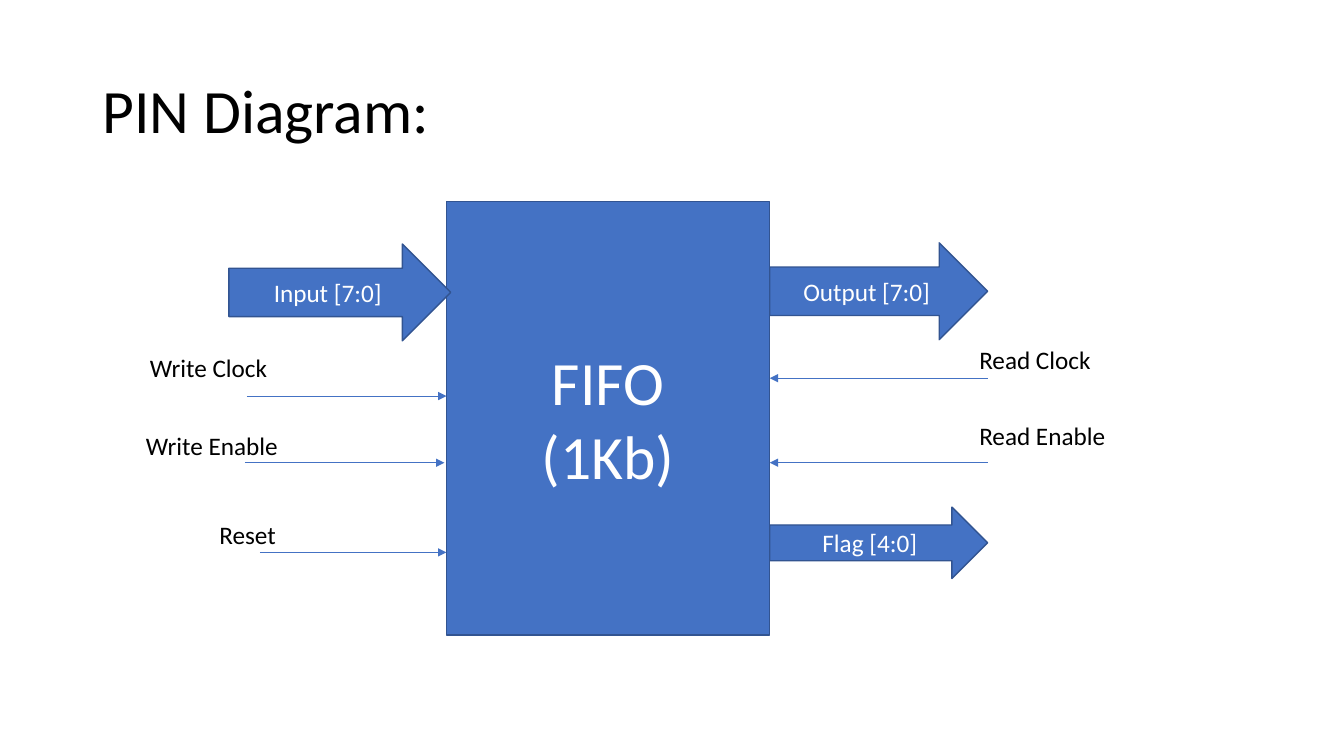
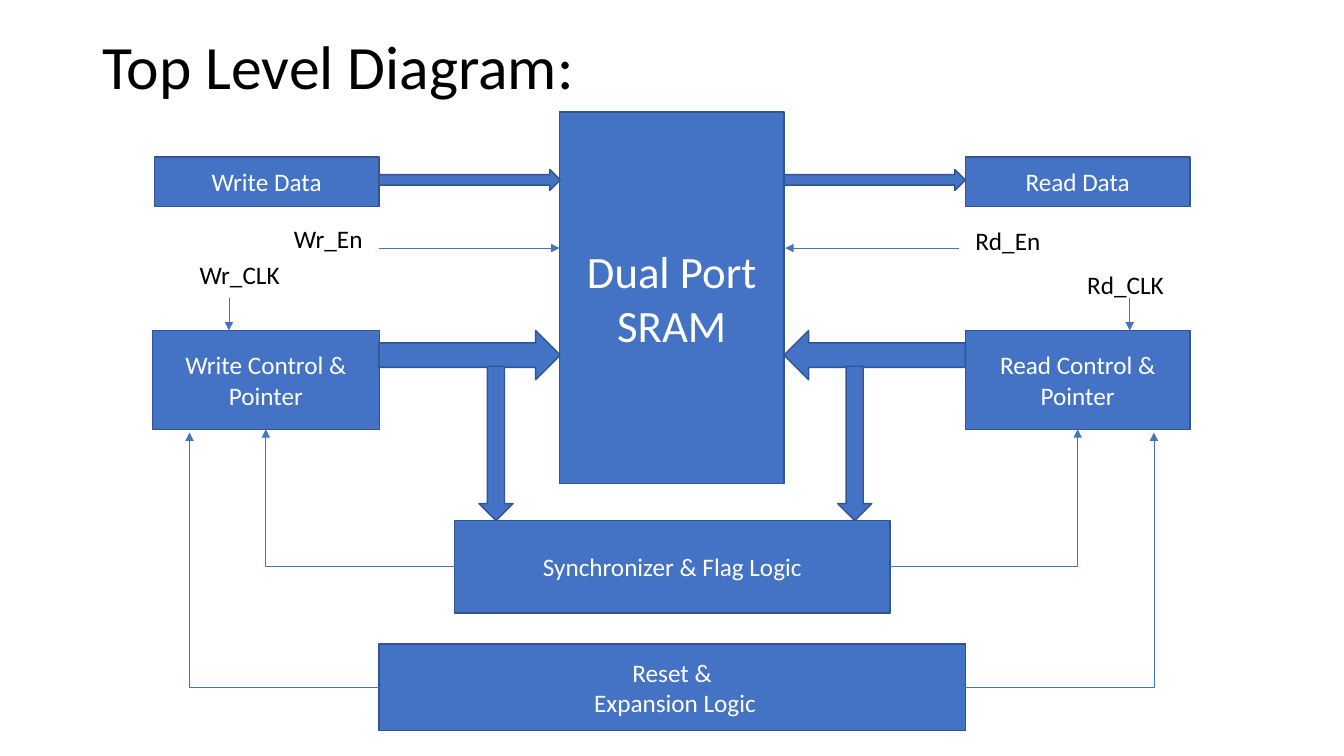
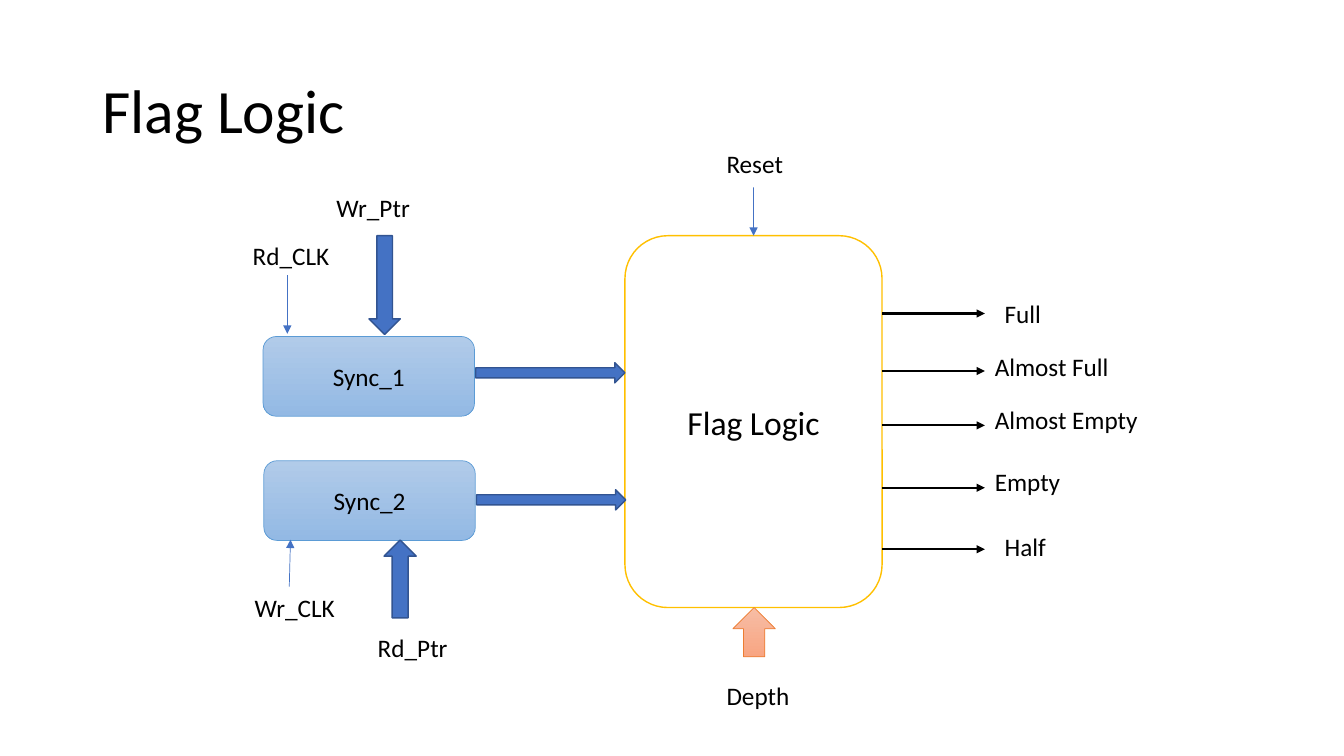
from lxml import etree
from pptx import Presentation, util as u
from pptx.dml import color as dml
from pptx.enum import shapes, text
from pptx.oxml import ns

COLORS = {
    "blue": "4472C4", "edge": "325491", "black": "000000", "white": "FFFFFF",
    "gold": "FFC000", "sky": "5B9BD5", "sky_top": "B1CBE9", "sky_end": "93B9E4",
    "orange": "ED7D31", "peach_top": "F7BDA5", "peach_end": "F8A582",
}
KIND = shapes.MSO_SHAPE
LABEL_HEIGHT = 1.02
TOP, LEFT, BOTTOM, RIGHT = range(4)


class Deck:
    """Holds the shared style and the slide being drawn; lengths are in cm."""

    font = "Calibri"

    def __init__(self):
        self.presentation = Presentation()
        self.presentation.slide_width = u.Cm(33.87)
        self.presentation.slide_height = u.Cm(19.05)
        self.slide = None

    @staticmethod
    def rgb(name):
        return dml.RGBColor.from_string(COLORS[name])

    def new_slide(self, title, top=1.01, height=3.68):
        layout = self.presentation.slide_layouts[6]
        self.slide = self.presentation.slides.add_slide(layout)
        self.label(title, 2.33, top, 29.21, height, size=44,
                   anchor=text.MSO_ANCHOR.MIDDLE, line_spacing=0.9)

    def fill_text(self, shape, words, size, color, anchor, **paragraph_format):
        frame = shape.text_frame
        frame.word_wrap = True
        frame.vertical_anchor = anchor
        for index, line in enumerate(words.split("\n")):
            paragraph = frame.add_paragraph() if index else frame.paragraphs[0]
            for name, value in paragraph_format.items():
                setattr(paragraph, name, value)
            run = paragraph.add_run()
            run.text = line
            for name, value in {"name": self.font, "size": u.Pt(size)}.items():
                setattr(run.font, name, value)
            run.font.color.rgb = self.rgb(color)

    def label(self, words, left, top, width, height=LABEL_HEIGHT, size=18,
              anchor=text.MSO_ANCHOR.TOP, **paragraph_format):
        box = self.slide.shapes.add_textbox(*map(u.Cm, (left, top, width, height)))
        self.fill_text(box, words, size, "black", anchor, **paragraph_format)

    def block(self, left, top, width, height, words="", kind=KIND.RECTANGLE, size=18,
              fill=("blue",), line="edge", weight=1, color="white"):
        """Draws a preset shape; two fill colours make a vertical gradient."""
        shape = self.slide.shapes.add_shape(kind, *map(u.Cm, (left, top, width, height)))
        shape.shadow.inherit = False
        if len(fill) == 1:
            shape.fill.solid()
            shape.fill.fore_color.rgb = self.rgb(fill[0])
        else:
            shape.fill.gradient()
            shape.fill.gradient_angle = 270
            for stop, name in zip(shape.fill.gradient_stops, fill):
                stop.color.rgb = self.rgb(name)
        shape.line.color.rgb = self.rgb(line)
        shape.line.width = u.Pt(weight)
        if words:
            self.fill_text(shape, words, size, color, text.MSO_ANCHOR.MIDDLE,
                           alignment=text.PP_ALIGN.CENTER)
        return shape

    def arrow(self, start, end, color="blue", weight=0.5, bent=False,
              begin_at=None, end_at=None):
        """Draws a thin arrow; begin_at and end_at are (shape, side) pairs."""
        kind = shapes.MSO_CONNECTOR.ELBOW if bent else shapes.MSO_CONNECTOR.STRAIGHT
        connector = self.slide.shapes.add_connector(kind, *map(u.Cm, start + end))
        connector.line.color.rgb = self.rgb(color)
        connector.line.width = u.Pt(weight)
        if begin_at:
            connector.begin_connect(*begin_at)
        if end_at:
            connector.end_connect(*end_at)
        properties = connector.element.spPr
        if bent:  # one corner only
            properties.find(ns.qn("a:prstGeom")).set("prst", "bentConnector2")
        line = properties.find(ns.qn("a:ln"))
        etree.SubElement(line, ns.qn("a:tailEnd")).set("type", "triangle")
        etree.SubElement(properties, ns.qn("a:effectLst"))


def pin_diagram(deck):
    deck.new_slide("PIN Diagram:")
    left, right, outer = 11.25, 19.4, 24.89
    deck.block(left, 5.08, right - left, 10.92, "FIFO\n(1Kb)", size=44)

    # Buses
    for words, x, y, width, height in (("Input [7:0]", 5.77, 6.15, 5.59, 2.44),
                                       ("Output [7:0]", right, 6.12, 5.49, 2.44),
                                       ("Flag [4:0]", right, 12.78, 5.49, 1.8)):
        deck.block(x, y, width, height, words, KIND.RIGHT_ARROW)

    # Single pins
    for start, end, y in ((6.22, left, 9.98), (6.17, 11.2, 11.66), (6.55, left, 13.92),
                          (outer, right, 9.53), (outer, right, 11.66)):
        deck.arrow((start, y), (end, y))
    for words, x, y, width in (("Write Clock", 3.53, 8.76, 5.59),
                               ("Write Enable", 3.43, 10.72, 4.45),
                               ("Reset", 5.28, 12.95, 2.54),
                               ("Read Clock", 24.43, 8.56, 3.68),
                               ("Read Enable", 24.43, 10.46, 4.14)):
        deck.label(words, x, y, width)


def top_level(deck):
    deck.new_slide("Top Level Diagram:", top=0, height=3.51)
    left, right, width = 9.55, 24.33, 5.66
    sram_left = 14.1
    sram_right = sram_left + width

    # Blocks
    deck.block(sram_left, 2.82, width, 9.37, "Dual Port SRAM", size=32)
    deck.block(3.89, 3.96, width, 1.24, "Write Data")
    deck.block(right, 3.96, width, 1.24, "Read Data")
    write_control = deck.block(3.84, 8.33, 5.72, 2.49, "Write Control & Pointer")
    read_control = deck.block(right, 8.33, width, 2.49, "Read Control & Pointer")
    synchronizer = deck.block(11.46, 13.11, 10.97, 2.34, "Synchronizer & Flag Logic")
    reset = deck.block(left, 16.23, right - left, 2.18, "Reset &\n Expansion Logic")

    # Buses
    for x, control_kind in ((left, KIND.RIGHT_ARROW), (sram_right, KIND.LEFT_ARROW)):
        deck.block(x, 4.27, 4.57, 0.53, kind=KIND.RIGHT_ARROW)
        deck.block(x, 8.33, 4.57, 1.24, kind=control_kind)
    for x in (12.07, 21.11):
        deck.block(x, 9.23, 0.86, 3.89, kind=KIND.DOWN_ARROW)

    # Feedback paths
    for side, control, sync_x, control_x, reset_x, end_x in (
            (LEFT, write_control, 11.46, 6.7, left, 4.78),
            (RIGHT, read_control, 22.43, 27.16, right, 29.08)):
        deck.arrow((sync_x, 14.28), (control_x, 10.82), bent=True,
                   begin_at=(synchronizer, side), end_at=(control, BOTTOM))
        deck.arrow((reset_x, 17.32), (end_x, 10.9), bent=True, begin_at=(reset, side))

    # Enables and clocks
    deck.arrow((left, 6.25), (sram_left, 6.25))
    deck.arrow((24.16, 6.25), (19.79, 6.25))
    for x in (5.77, 28.47):
        deck.arrow((x, 7.52), (x, 8.33))
    for words, x, y, label_width in (("Wr_En", 7.16, 5.51, 5.23),
                                     ("Rd_En", right, 5.56, 4.78),
                                     ("Wr_CLK", 4.78, 6.4, 2.82),
                                     ("Rd_CLK", 27.15, 6.65, 2.82)):
        deck.label(words, x, y, label_width)


def flag_logic(deck):
    deck.new_slide("Flag Logic")
    left, width = 15.75, 6.48
    right = left + width
    logic = deck.block(left, 5.94, width, 9.37, "Flag Logic", KIND.ROUNDED_RECTANGLE,
                       size=24, fill=("white",), line="gold", color="black")

    # Flags
    for words, y, label_x, label_y in (("Full", 7.9, 25.07, 7.39),
                                       ("Almost Full", 9.35, 24.82, 8.74),
                                       ("Almost Empty", 10.72, 24.82, 10.06),
                                       ("Empty", 12.29, 24.82, 11.63),
                                       ("Half", 13.84, 25.07, 13.26)):
        deck.arrow((right, y), (24.82, y), color="black", weight=1.5)
        deck.label(words, label_x, label_y, 4.19)

    # Synchronizers
    for words, x, y, bus_x, bus_y in (("Sync_1", 6.63, 8.48, 11.99, 9.14),
                                      ("Sync_2", 6.65, 11.61, 12.01, 12.34)):
        deck.block(x, y, 5.33, 2.01, words, KIND.ROUNDED_RECTANGLE, line="sky",
                   fill=("sky_top", "sky_end"), weight=0.5, color="black")
        deck.block(bus_x, bus_y, 3.76, 0.51, kind=KIND.RIGHT_ARROW)

    # Inputs
    deck.block(9.3, 5.94, 0.79, 2.49, kind=KIND.DOWN_ARROW)
    deck.block(9.68, 13.61, 0.81, 1.96, kind=KIND.UP_ARROW)
    deck.block(18.47, 15.31, 1.07, 1.24, kind=KIND.UP_ARROW, line="orange",
               fill=("peach_top", "peach_end"), weight=0.5)
    deck.arrow((7.24, 6.93), (7.24, 8.41))
    deck.arrow((7.29, 14.78), (7.32, 13.6))
    deck.arrow((18.99, 4.72), (18.99, 5.94), end_at=(logic, TOP))
    for words, x, y, label_width in (("Rd_CLK", 6.12, 5.94, 2.74),
                                     ("Wr_Ptr", 8.23, 4.72, 2.46),
                                     ("Wr_CLK", 6.17, 14.81, 2.74),
                                     ("Rd_Ptr", 9.27, 15.82, 2.46),
                                     ("Reset", 18.06, 3.61, 2.54),
                                     ("Depth", 18.06, 17.02, 3.68)):
        deck.label(words, x, y, label_width)


def main():
    deck = Deck()
    for draw in (pin_diagram, top_level, flag_logic):
        draw(deck)
    deck.presentation.save("out.pptx")


if __name__ == "__main__":
    main()
